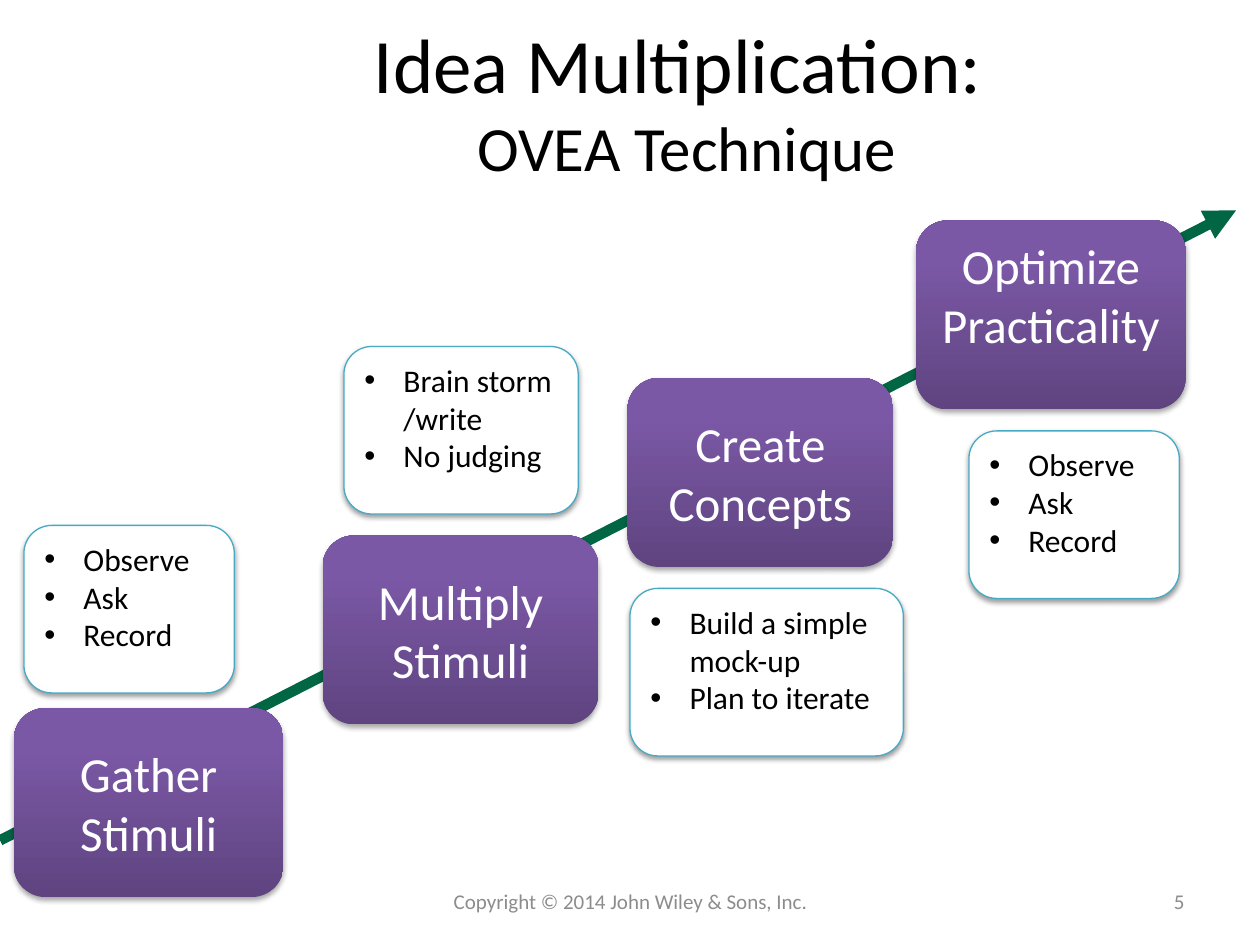
from lxml.etree import SubElement
from pptx import Presentation
from pptx.dml.color import RGBColor
from pptx.enum.shapes import MSO_CONNECTOR as Connector, MSO_SHAPE as Shape
from pptx.enum.text import MSO_ANCHOR as Anchor, PP_ALIGN as Align
from pptx.oxml.ns import qn
from pptx.util import Inches, Pt

COLORS = {
    "arrow": "006643", "step_dark": "5F4480", "step_light": "7B58A6",
    "card": "FFFFFF", "card_line": "46AAC5", "shadow": "000000",
    "step_text": "FFFFFF", "text": "000000", "footer": "8C8C8C",
}
FONT = "Calibri"


def rgb(name):
    return RGBColor.from_string(COLORS[name])


class Slide:
    """Holds the page and the style of its elements."""

    def __init__(self, deck):
        self.page = deck.slides.add_slide(deck.slide_layouts[5])

    def add_span(self, para, text, size, color):
        span = para.add_run()
        span.text = text
        span.font.name = FONT
        span.font.size = Pt(size)
        span.font.color.rgb = rgb(color)

    def add_shadow(self, shape, opacity, distance):
        shape.shadow.inherit = False
        effects = shape.element.spPr.find(qn("a:effectLst"))
        outer = SubElement(effects, qn("a:outerShdw"), blurRad=str(Pt(3.1)),
                           dist=str(Pt(distance)), dir="5400000", rotWithShape="0")
        color = SubElement(outer, qn("a:srgbClr"), val=COLORS["shadow"])
        SubElement(color, qn("a:alpha"), val=str(opacity * 1000))

    def add_bullet(self, para):
        props = para._p.get_or_add_pPr()
        props.set("marL", str(Inches(0.31)))
        props.set("indent", str(-Inches(0.31)))
        SubElement(props, qn("a:buFont"), typeface="Arial")
        SubElement(props, qn("a:buChar"), char="•")

    def add_title(self, first, second):
        box = self.page.shapes.title
        box.left, box.top = Inches(0.65), Inches(0.17)
        box.width, box.height = Inches(9.6), Inches(1.25)
        box.text_frame.vertical_anchor = Anchor.MIDDLE
        para = box.text_frame.paragraphs[0]
        para.alignment = Align.CENTER
        self.add_span(para, first, 44, "text")
        para.add_line_break()
        self.add_span(para, second, 36, "text")

    def add_arrow(self, start, end):
        points = [Inches(value) for value in (*start, *end)]
        arrow = self.page.shapes.add_connector(Connector.STRAIGHT, *points)
        arrow.line.color.rgb = rgb("arrow")
        arrow.line.width = Pt(6)
        SubElement(arrow.line._get_or_add_ln(), qn("a:tailEnd"), type="triangle")
        SubElement(arrow.element.spPr, qn("a:effectLst"))

    def add_rounded(self, group, place, anchor):
        shape = group.shapes.add_shape(Shape.ROUNDED_RECTANGLE, *map(Inches, place))
        shape.text_frame.word_wrap = True
        shape.text_frame.vertical_anchor = anchor
        return shape

    def add_step(self, group, place, text, anchor):
        shape = self.add_rounded(group, place, anchor)
        shape.fill.gradient()
        shape.fill.gradient_angle = 90
        stops = zip(shape.fill.gradient_stops, (0, 0.8), ("step_dark", "step_light"))
        for stop, position, color in stops:
            stop.position = position
            stop.color.rgb = rgb(color)
        shape.line.fill.background()
        self.add_shadow(shape, 35, 1.8)
        para = shape.text_frame.paragraphs[0]
        para.alignment = Align.CENTER
        self.add_span(para, text, 28, "step_text")

    def add_card(self, group, place, items):
        shape = self.add_rounded(group, place, Anchor.TOP)
        shape.fill.solid()
        shape.fill.fore_color.rgb = rgb("card")
        shape.line.color.rgb = rgb("card_line")
        shape.line.width = Pt(0.75)
        self.add_shadow(shape, 38, 1.6)
        frame = shape.text_frame
        for index, item in enumerate(items):
            para = frame.add_paragraph() if index else frame.paragraphs[0]
            para.alignment = Align.LEFT
            self.add_bullet(para)
            self.add_span(para, item, 18, "text")

    def add_footer(self, left, width, text, align):
        box = self.page.shapes.add_textbox(Inches(left), Inches(6.95),
                                           Inches(width), Inches(0.4))
        box.text_frame.word_wrap = True
        box.text_frame.vertical_anchor = Anchor.MIDDLE
        para = box.text_frame.paragraphs[0]
        para.alignment = align
        self.add_span(para, text, 12, "footer")


def main():
    deck = Presentation()
    deck.slide_width, deck.slide_height = Inches(10), Inches(7.5)
    slide = Slide(deck)
    slide.add_title("Idea Multiplication: ", "OVEA Technique")

    # Rising arrow behind the steps
    slide.add_arrow((0, 6.67), (9.81, 1.67))

    # Steps with their cards: left, top and width of each, then the texts
    field_work = ["Observe", "Ask", "Record"]
    stages = [
        ((2.56, 4.25, 2.19), "Multiply Stimuli", Anchor.MIDDLE,
         (2.73, 2.75, 1.86), ["Brain storm /write", "No judging"]),
        ((0.11, 5.62, 2.14), "Gather Stimuli", Anchor.MIDDLE,
         (0.19, 4.17, 1.67), field_work),
        ((4.98, 3, 2.11), "Create Concepts", Anchor.MIDDLE,
         (5, 4.67, 2.17), ["Build a simple mock-up", "Plan to iterate"]),
        ((7.27, 1.75, 2.14), "Optimize Practicality", Anchor.TOP,
         (7.69, 3.42, 1.67), field_work),
    ]
    for step, text, anchor, card, items in stages:
        group = slide.page.shapes.add_group_shape()
        slide.add_step(group, (*step, 1.5), text, anchor)
        slide.add_card(group, (*card, 1.33), items)

    # Page number and copyright
    slide.add_footer(7.17, 2.33, "5", Align.RIGHT)
    slide.add_footer(3.42, 3.17, "Copyright © 2014 John Wiley & Sons, Inc.", Align.CENTER)

    deck.save("out.pptx")


if __name__ == "__main__":
    main()
